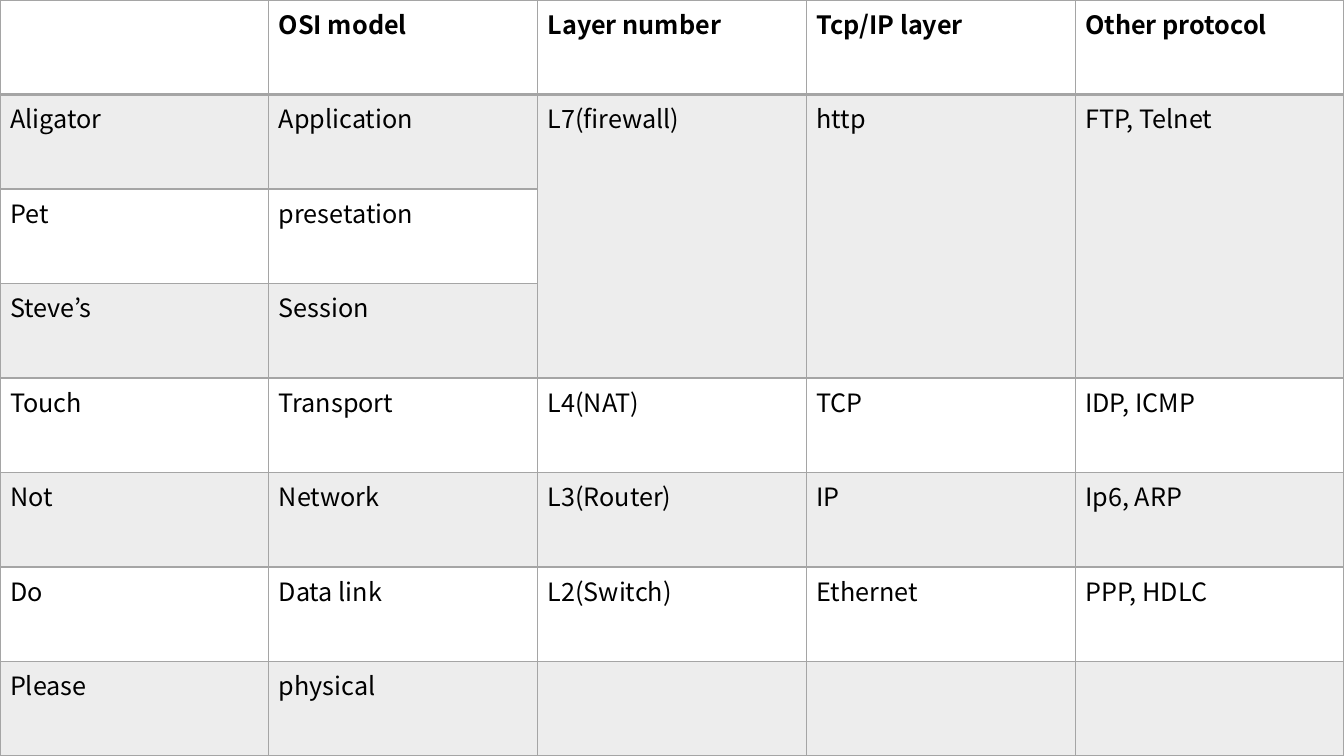
from dataclasses import dataclass

from lxml.etree import SubElement
from pptx import Presentation
from pptx.dml.color import RGBColor as RGB
from pptx.oxml.ns import qn
from pptx.util import Inches, Pt


@dataclass(frozen=True)
class Theme:
    font: str = "Noto Sans CJK KR"
    size: int = 18
    text: str = "000000"
    gray: str = "A5A5A5"
    band_alpha: int = 20
    line: int = 1
    header_line: int = 2


theme = Theme()


def add_gray(parent):
    fill = SubElement(parent, qn("a:solidFill"))
    return SubElement(fill, qn("a:srgbClr"), val=theme.gray)


def style_cell(cell, row):
    """Draw the four borders, then the band fill, in schema order."""
    tcPr = cell._tc.get_or_add_tcPr()
    for side in "LRTB":
        below_header = (row, side) in ((0, "B"), (1, "T"))
        width = theme.header_line if below_header else theme.line
        add_gray(SubElement(tcPr, qn(f"a:ln{side}"), w=str(Pt(width))))
    if row % 2:
        SubElement(add_gray(tcPr), qn("a:alpha"), val=str(theme.band_alpha * 1000))
    else:
        SubElement(tcPr, qn("a:noFill"))


ROWS = [
    ["", "OSI model", "Layer number", "Tcp/IP layer", "Other protocol"],
    ["Aligator", "Application", "L7(firewall)", "http", "FTP, Telnet"],
    ["Pet", "presetation", "", "", ""],
    ["Steve’s", "Session", "", "", ""],
    ["Touch", "Transport", "L4(NAT)", "TCP", "IDP, ICMP"],
    ["Not", "Network", "L3(Router)", "IP", "Ip6, ARP"],
    ["Do", "Data link", "L2(Switch)", "Ethernet", "PPP, HDLC"],
    ["Please", "physical", "", "", ""],
]

prs = Presentation()
prs.slide_width, prs.slide_height = Inches(13.33), Inches(7.5)
s = prs.slides.add_slide(prs.slide_layouts[6])

table = s.shapes.add_table(
    len(ROWS), len(ROWS[0]), 0, 0, prs.slide_width, prs.slide_height
).table
table.horz_banding = False
table.first_row = True

for i, values in enumerate(ROWS):
    for j, value in enumerate(values):
        cell = table.cell(i, j)
        style_cell(cell, i)
        p = cell.text_frame.paragraphs[0]
        p.font.size = Pt(theme.size)
        if value:
            r = p.add_run()
            r.text = value
            r.font.name = theme.font
            r.font.size = Pt(theme.size)
            r.font.bold = i == 0
            r.font.color.rgb = RGB.from_string(theme.text)

# The upper three OSI layers share one TCP/IP layer
for j in range(2, 5):
    table.cell(1, j).merge(table.cell(3, j))

prs.save("out.pptx")
